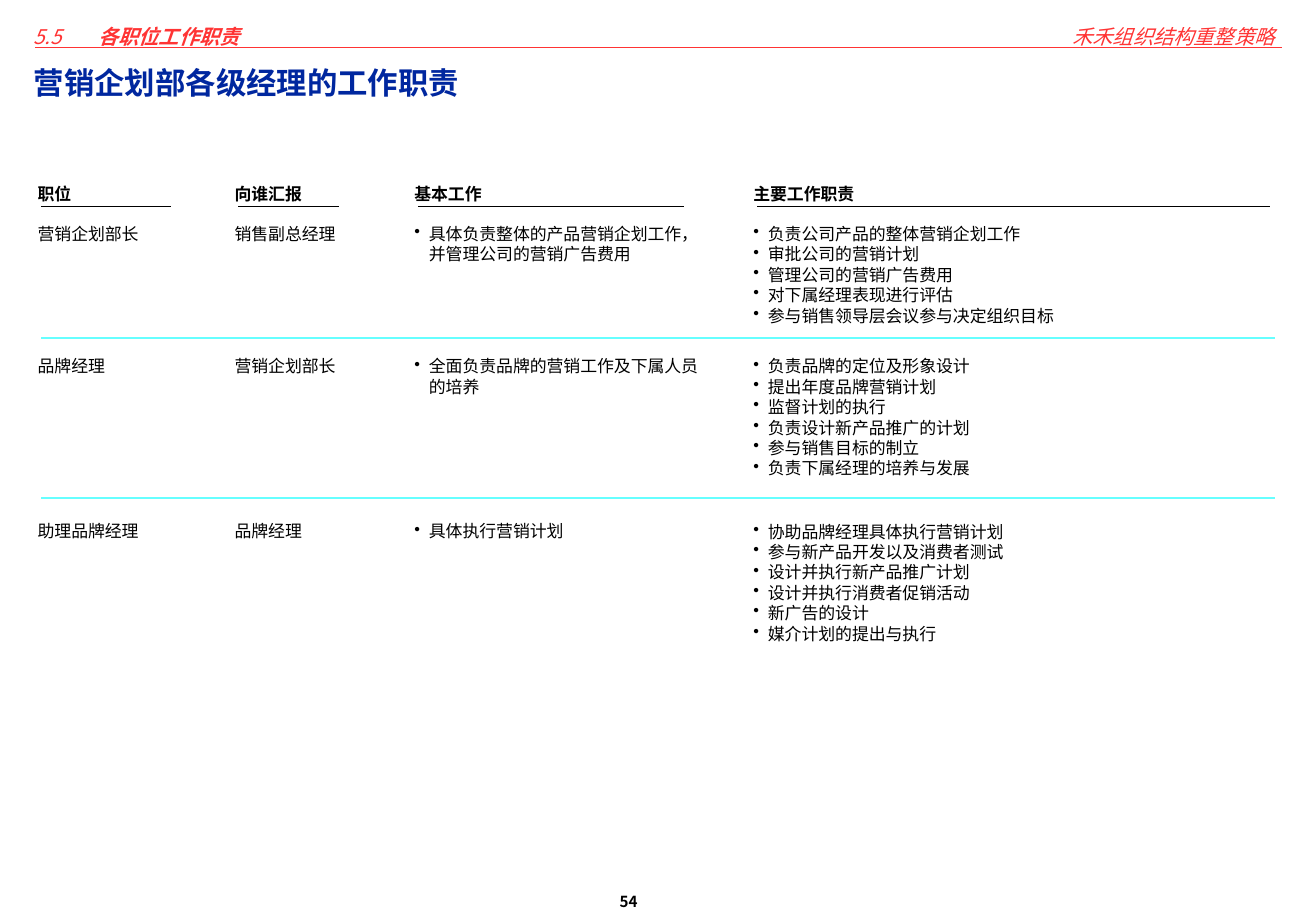
from pptx import Presentation
from pptx.dml.color import RGBColor
from pptx.enum.text import MSO_ANCHOR, PP_ALIGN
from pptx.oxml.ns import qn
from pptx.util import Inches, Pt
from lxml.etree import SubElement

FACE = "Noto Sans CJK SC"
RED, NAVY, BLACK, AQUA = "FF3434", "00279F", "000000", "66FFFF"

deck = Presentation()
deck.slide_width, deck.slide_height = Inches(10.83), Inches(7.5)
page = deck.slides.add_slide(deck.slide_layouts[6])


def line(left, right, y, hue):
    rule = page.shapes.add_connector(1, Inches(left), Inches(y), Inches(right), Inches(y))
    rule.line.color.rgb = RGBColor.from_string(hue)
    rule.line.width = Pt(1)
    SubElement(rule._element.spPr, qn("a:effectLst"))


def text(box, paras, size, lead, hue=BLACK, pad=(0.09, 0.05), mark=False, tab=None, side=PP_ALIGN.LEFT):
    """Each paragraph is a list of runs: (words, bold, italic)."""
    frame = page.shapes.add_textbox(*[Inches(n) for n in box]).text_frame
    frame.word_wrap = True
    frame.vertical_anchor = MSO_ANCHOR.TOP
    frame.margin_left = frame.margin_right = Inches(pad[0])
    frame.margin_top = frame.margin_bottom = Inches(pad[1])
    for i, runs in enumerate(paras):
        para = frame.add_paragraph() if i else frame.paragraphs[0]
        props = para._p.get_or_add_pPr()
        if mark:
            props.set("marL", str(Inches(0.12)))
            props.set("indent", str(-Inches(0.12)))
            SubElement(props, qn("a:buChar"), char="•")
        if tab:
            tabs = SubElement(props, qn("a:tabLst"))
            SubElement(tabs, qn("a:tab"), pos=str(Inches(tab)), algn="l")
        para.alignment = side
        para.line_spacing = Pt(lead)
        for words, bold, slant in runs:
            run = para.add_run()
            run.text = words
            font = run.font
            font.name, font.size, font.bold, font.italic = FACE, Pt(size), bold, slant
            font.color.rgb = RGBColor.from_string(hue)
            SubElement(run._r.get_or_add_rPr(), qn("a:ea"), typeface=FACE)


# Page header, title and number
line(0.29, 10.55, 0.39, RED)
text((0.18, 0.08, 3.43, 0.4), [[("5.5\t", False, True), ("各职位工作职责", True, True)]],
     12, 15.8, RED, (0.1, 0.1), tab=0.53)
text((7.55, 0.08, 3.04, 0.4), [[("禾禾组织结构重整策略", False, True)]],
     12, 15.8, RED, (0.1, 0.1), side=PP_ALIGN.RIGHT)
text((0.18, 0.4, 9.88, 0.87), [[("营销企划部各级经理的工作职责", True, False)]],
     18, 23.6, NAVY, (0.1, 0.1))
text((5.1, 7.34, 0.65, 0.17), [[("54", True, False)]], 9, 11.3, pad=(0, 0))

# Columns: heading, left, width, end of rule
cols = [
    ("职位", 0.22, 1.26, 1.41),
    ("向谁汇报", 1.84, 1.39, 2.79),
    ("基本工作", 3.32, 2.53, 5.63),
    ("主要工作职责", 6.11, 4.6, 10.45),
]
for head, left, wide, end in cols:
    text((left, 1.46, wide, 0.26), [[(head, True, False)]], 10, 12.1)
    line(left + 0.12, end, 1.7, BLACK)

# Rows: top, then one list of lines per column
rows = [
    (1.79, ["营销企划部长"], ["销售副总经理"],
     ["具体负责整体的产品营销企划工作，并管理公司的营销广告费用"],
     ["负责公司产品的整体营销企划工作", "审批公司的营销计划", "管理公司的营销广告费用",
      "对下属经理表现进行评估", "参与销售领导层会议参与决定组织目标"]),
    (2.88, ["品牌经理"], ["营销企划部长"],
     ["全面负责品牌的营销工作及下属人员的培养"],
     ["负责品牌的定位及形象设计", "提出年度品牌营销计划", "监督计划的执行",
      "负责设计新产品推广的计划", "参与销售目标的制立", "负责下属经理的培养与发展"]),
    (4.24, ["助理品牌经理"], ["品牌经理"],
     ["具体执行营销计划"],
     ["协助品牌经理具体执行营销计划", "参与新产品开发以及消费者测试", "设计并执行新产品推广计划",
      "设计并执行消费者促销活动", "新广告的设计", "媒介计划的提出与执行"]),
]
for top, *cells in rows:
    for i, (col, cell) in enumerate(zip(cols, cells)):
        text((col[1], top, col[2], 0.1 + 0.17 * len(cell)),
             [[(words, False, False)] for words in cell], 10, 12.1, mark=i > 1)

# Row dividers
for y in (2.78, 4.1):
    line(0.34, 10.49, y, AQUA)

deck.save("out.pptx")
